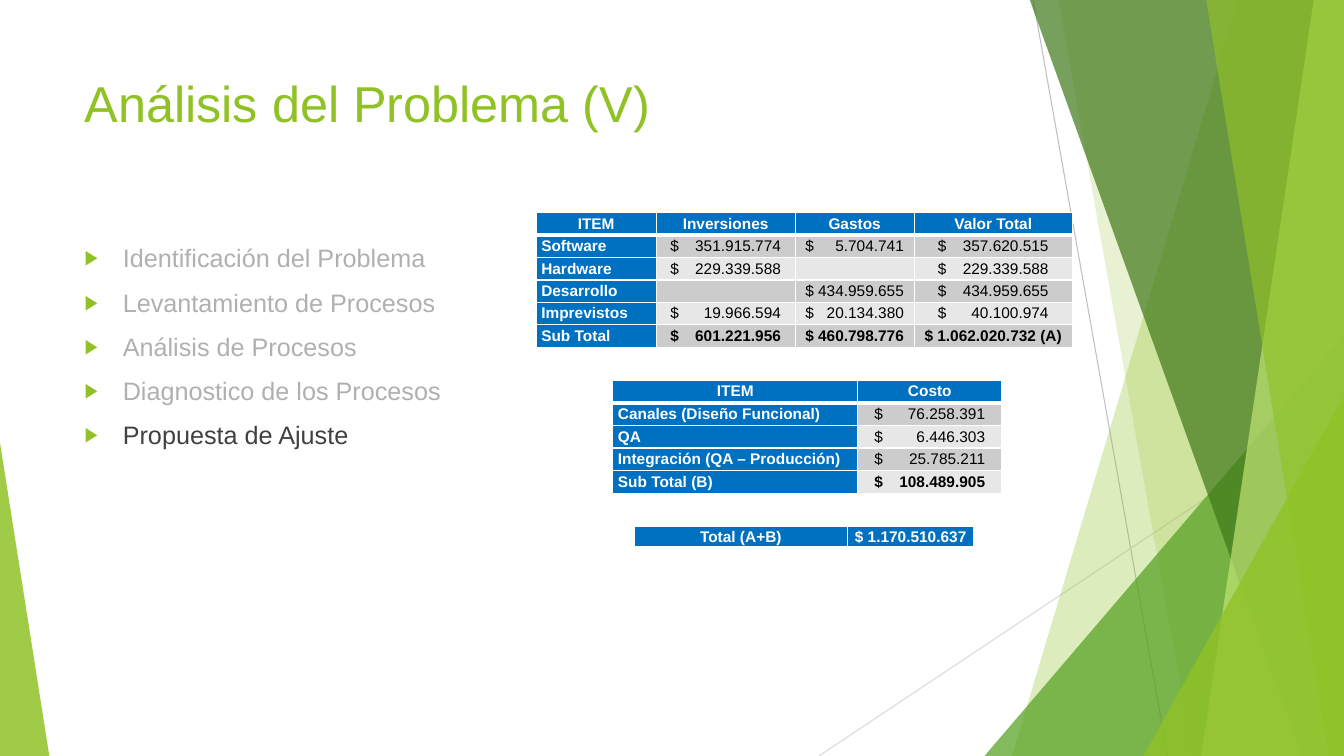
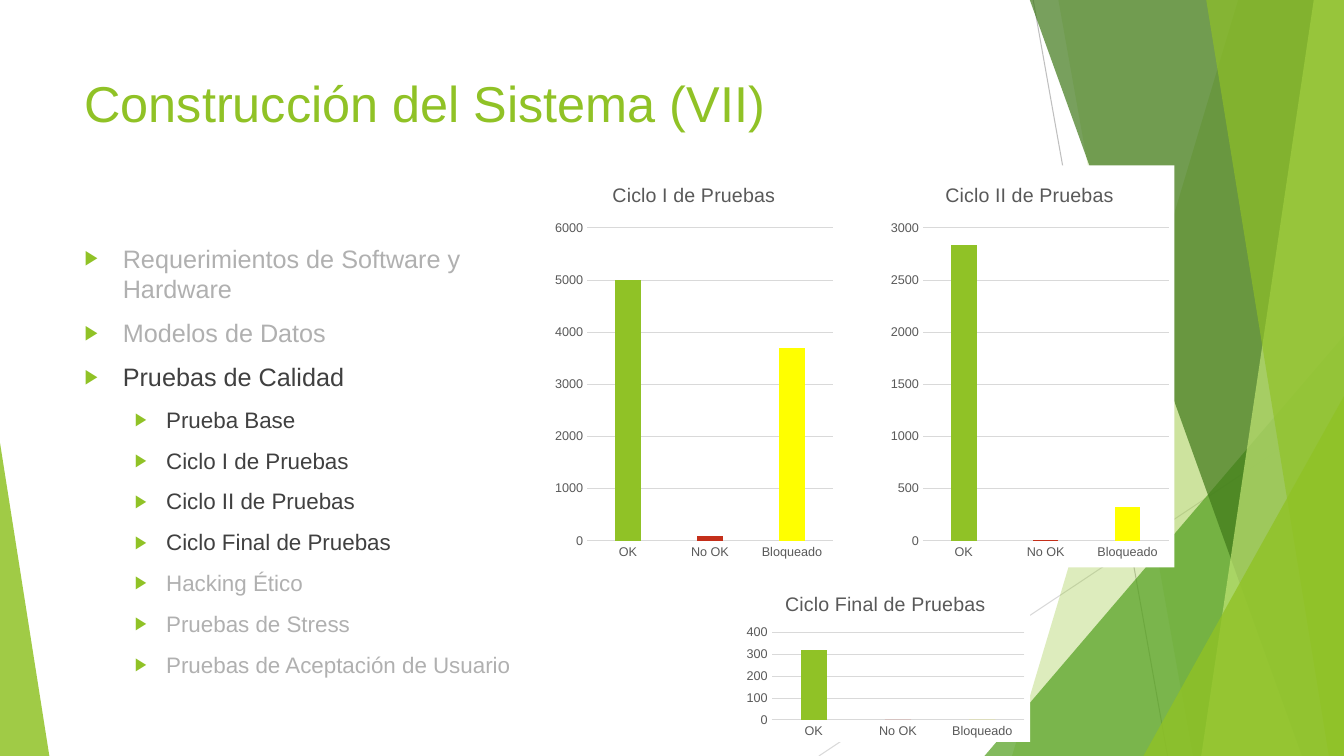
import lxml.etree
import pptx
import pptx.chart.data
import pptx.dml.color
import pptx.enum.chart
import pptx.enum.shapes
import pptx.enum.text
import pptx.oxml.ns
import pptx.util

RGB = pptx.dml.color.RGBColor
GREEN = RGB(0x90, 0xC2, 0x26)
LEAF = RGB(0x54, 0xA0, 0x21)
MOSS = RGB(0x3F, 0x78, 0x19)
LIME = RGB(0xC0, 0xE4, 0x74)
DARK = RGB(0x40, 0x40, 0x40)
FADED = RGB(0xB0, 0xB0, 0xB0)
GRAY = RGB(0x59, 0x59, 0x59)
RULE = RGB(0xD9, 0xD9, 0xD9)
EDGE = RGB(0xBF, 0xBF, 0xBF)
BLUE = RGB(0x00, 0x70, 0xC0)
BANDS = RGB(0xCC, 0xCC, 0xCC), RGB(0xE7, 0xE7, 0xE7)
RED = RGB(0xC4, 0x2F, 0x1A)
YELLOW = RGB(0xFF, 0xFF, 0x00)
WHITE = RGB(0xFF, 0xFF, 0xFF)
BLACK = RGB(0, 0, 0)

FONT = "Arial"
COLS, ROWS = 40, 30
ALIGN = pptx.enum.text.PP_ALIGN
SHAPE = pptx.enum.shapes.MSO_SHAPE


def node(parent, tag, **attrs):
    """Append one XML element."""
    names = {key: str(val) for key, val in attrs.items()}
    return lxml.etree.SubElement(parent, pptx.oxml.ns.qn(tag), names)


def style(font, size, color, bold=False):
    font.name, font.size, font.bold = FONT, pptx.util.Pt(size), bold
    font.color.rgb = color


def put(frame, text, size=18, color=DARK, bold=False, align=None,
        before=0, level=None, tab=None):
    """Add a paragraph; level gives it a bullet, tab a right tab stop."""
    para = frame.paragraphs[0]
    if para.runs:
        para = frame.add_paragraph()
    props = para._p.get_or_add_pPr()
    if level is not None:
        left, hang = ((0.38, 0.38), (0.81, 0.31))[level]
        para.level = level
        props.set("marL", str(pptx.util.Inches(left)))
        props.set("indent", str(-pptx.util.Inches(hang)))
        node(node(props, "a:buClr"), "a:srgbClr", val=GREEN)
        node(props, "a:buSzPct", val=80000)
        node(props, "a:buFont", typeface=FONT)
        node(props, "a:buChar", char="▶")
    if tab:
        node(node(props, "a:tabLst"), "a:tab", pos=tab, algn="r")
    para.alignment = align
    para.space_before = pptx.util.Pt(before)
    if text:
        run = para.add_run()
        run.text = text
        style(run.font, size, color, bold)
    else:
        node(para._p, "a:endParaRPr", sz=size * 100)


class Deck:
    def __init__(self):
        self.show = pptx.Presentation()
        self.show.slide_width = pptx.util.Inches(13.33)
        self.show.slide_height = pptx.util.Inches(7.5)

    # Grid
    def x(self, cols):
        return round(self.show.slide_width * cols / COLS)

    def y(self, rows):
        return round(self.show.slide_height * rows / ROWS)

    def box(self, left, top, width, height):
        return self.x(left), self.y(top), self.x(width), self.y(height)

    # Slide with shared backdrop and title
    def slide(self, title):
        page = self.show.slides.add_slide(self.show.slide_layouts[6])
        self.shapes = page.shapes
        self.line(30.75, 0, 34.75, ROWS, EDGE)
        self.line(COLS, 16.12, 24.37, ROWS, RULE)
        self.ray(36.85, 30.12, GREEN, 30)
        self.ray(31.5, 35.5, GREEN, 20)
        self.wedge(29.3, 13.32, 10.7, 1, LEAF, 72)
        self.ray(30.65, 38.75, MOSS, 70)
        self.ray(39.1, 35.75, LIME, 70)
        self.ray(35.9, 39.55, GREEN, 65)
        self.wedge(34.03, 15.72, 5.97, 1, GREEN, 80)
        self.wedge(0, 17.56, 1.47, 0, GREEN, 85)
        put(self.frame(2.22, 2.68, 28.2, 5.76), title, size=36, color=GREEN)

    def line(self, left, top, right, end, color):
        kind = pptx.enum.shapes.MSO_CONNECTOR.STRAIGHT
        rule = self.shapes.add_connector(
            kind, self.x(left), self.y(top), self.x(right), self.y(end))
        rule.line.color.rgb = color
        rule.line.width = pptx.util.Pt(0.75)
        node(rule.element.spPr, "a:effectLst")

    def tint(self, shape, color, alpha):
        shape.shadow.inherit = False
        shape.fill.solid()
        shape.fill.fore_color.rgb = color
        shape.line.fill.background()
        fill = next(shape.element.iter(pptx.oxml.ns.qn("a:srgbClr")))
        node(fill, "a:alpha", val=alpha * 1000)

    def ray(self, top, base, color, alpha):
        """Band from a slanted left edge to the right side of the slide."""
        form = self.shapes.build_freeform(self.x(top), 0)
        ends = (COLS, 0), (COLS, ROWS), (base, ROWS)
        form.add_line_segments([(self.x(a), self.y(b)) for a, b in ends])
        self.tint(form.convert_to_shape(), color, alpha)

    def wedge(self, left, top, width, peak, color, alpha):
        """Triangle standing on the bottom of the slide."""
        shape = self.shapes.add_shape(
            SHAPE.ISOSCELES_TRIANGLE, *self.box(left, top, width, ROWS - top))
        shape.adjustments[0] = peak
        self.tint(shape, color, alpha)

    def frame(self, *area):
        frame = self.shapes.add_textbox(*self.box(*area)).text_frame
        frame.word_wrap = True
        return frame

    def list(self, height, items):
        frame = self.frame(2.22, 9.44, 13.75, height)
        for count, (text, level, color) in enumerate(items):
            put(frame, text, size=18 - 2 * level, color=color, level=level,
                before=10 if count else 0)

    # Tables
    def table(self, left, top, widths, height, rows, spans=()):
        """Spans are the widths, in inches, of the amounts in each column."""
        area = self.box(left, top, sum(widths), height * len(rows))
        grid = self.shapes.add_table(len(rows), len(widths), *area).table
        grid.horz_banding = False
        for col, width in zip(grid.columns, widths):
            col.width = self.x(width)
        for r, row in enumerate(rows):
            grid.rows[r].height = self.y(height)
            for c, text in enumerate(row):
                head = r == 0 or c == 0
                last = r == len(rows) - 1
                cell = self.cell(grid.cell(r, c), r, head)
                look = dict(size=11, color=WHITE if head else BLACK,
                            bold=head or last)
                if head or not text or text.startswith("$"):
                    look["align"] = ALIGN.CENTER if r == 0 or c else ALIGN.LEFT
                else:
                    span = pptx.util.Inches(spans[c - 1])
                    cell.margin_left = (self.x(widths[c]) - span) // 2
                    cell.margin_right = 0
                    text, look["tab"] = "$\t" + text, span
                put(cell.text_frame, text, **look)

    def cell(self, cell, row, head):
        props = cell._tc.get_or_add_tcPr()
        for side in "LRTB":
            thick = 3 if row == 0 and side == "B" else 1
            edge = node(props, "a:ln" + side, w=pptx.util.Pt(thick))
            node(node(edge, "a:solidFill"), "a:srgbClr", val=WHITE)
        cell.fill.solid()
        cell.fill.fore_color.rgb = BLUE if head else BANDS[(row - 1) % 2]
        cell.margin_left = cell.margin_right = pptx.util.Inches(0.05)
        cell.margin_top = cell.margin_bottom = 0
        cell.vertical_anchor = pptx.enum.text.MSO_ANCHOR.MIDDLE
        return cell

    # Charts
    def chart(self, left, top, height, title, vals, step, peak):
        data = pptx.chart.data.CategoryChartData()
        data.categories = "OK", "No OK", "Bloqueado"
        data.add_series("Series 1", vals)
        kind = pptx.enum.chart.XL_CHART_TYPE.COLUMN_CLUSTERED
        chart = self.shapes.add_chart(
            kind, *self.box(left, top, 8.61, height), data).chart
        style(chart.font, 10, BLACK)
        chart.has_legend = False
        chart.has_title = True
        put(chart.chart_title.text_frame, title, size=14, color=GRAY)
        chart.chart_title.include_in_layout = False
        # White ground
        ground = node(chart._chartSpace, "c:spPr")
        node(node(ground, "a:solidFill"), "a:srgbClr", val=WHITE)
        node(node(ground, "a:ln"), "a:noFill")
        chart._chartSpace.find(pptx.oxml.ns.qn("c:chart")).addnext(ground)
        # Axes
        for axis in (chart.category_axis, chart.value_axis):
            axis.major_tick_mark = pptx.enum.chart.XL_TICK_MARK.NONE
            style(axis.tick_labels.font, 9, GRAY)
        scale = chart.value_axis
        scale.minimum_scale, scale.maximum_scale = 0, peak
        scale.major_unit = step
        scale.format.line.fill.background()
        for rule in (scale.major_gridlines, chart.category_axis):
            rule.format.line.color.rgb = RULE
            rule.format.line.width = pptx.util.Pt(0.75)
        # Bars
        plot = chart.plots[0]
        plot.gap_width, plot.overlap = 219, -27
        plot.vary_by_categories = False
        bars = plot.series[0]
        bars.format.fill.solid()
        bars.format.fill.fore_color.rgb = GREEN
        for spot, color in ((1, RED), (2, YELLOW)):
            fill = bars.points[spot].format.fill
            fill.solid()
            fill.fore_color.rgb = color


def costs(deck):
    deck.slide("Análisis del Problema (V)")
    deck.list(16.96, [
        ("Identificación del Problema", 0, FADED),
        ("Levantamiento de Procesos", 0, FADED),
        ("Análisis de Procesos", 0, FADED),
        ("Diagnostico de los Procesos", 0, FADED),
        ("Propuesta de Ajuste", 0, DARK),
    ])
    deck.table(15.96, 8.44, (3.57, 4.14, 3.54, 4.71), 0.89, [
        ("ITEM", "Inversiones", "Gastos", "Valor Total"),
        ("Software", "351.915.774", "5.704.741", "357.620.515"),
        ("Hardware", "229.339.588", "", "229.339.588"),
        ("Desarrollo", "", "434.959.655", "434.959.655"),
        ("Imprevistos", "19.966.594", "20.134.380", "40.100.974"),
        ("Sub Total", "601.221.956", "460.798.776", "$ 1.062.020.732 (A)"),
    ], spans=(1.1, 0.98, 1.1))
    deck.table(18.24, 15.08, (7.29, 4.29), 0.9, [
        ("ITEM", "Costo"),
        ("Canales (Diseño Funcional)", "76.258.391"),
        ("QA", "6.446.303"),
        ("Integración (QA – Producción)", "25.785.211"),
        ("Sub Total (B)", "108.489.905"),
    ], spans=(1.1,))
    deck.table(18.87, 20.88, (6.36, 3.75), 0.88,
               [("Total (A+B)", "$ 1.170.510.637")])


def tests(deck):
    deck.slide("Construcción del Sistema (VII)")
    deck.list(19.96, [
        ("Requerimientos de Software y Hardware", 0, FADED),
        ("Modelos de Datos", 0, FADED),
        ("Pruebas de Calidad", 0, DARK),
        ("Prueba Base", 1, DARK),
        ("Ciclo I de Pruebas", 1, DARK),
        ("Ciclo II de Pruebas", 1, DARK),
        ("Ciclo Final de Pruebas", 1, DARK),
        ("Hacking Ético", 1, FADED),
        ("Pruebas de Stress", 1, FADED),
        ("Pruebas de Aceptación de Usuario", 1, FADED),
    ])
    deck.chart(16.35, 6.56, 15.96, "Ciclo I de Pruebas",
               (5000, 100, 3700), 1000, 6000)
    deck.chart(26.34, 6.56, 15.96, "Ciclo II de Pruebas",
               (2840, 10, 320), 500, 3000)
    deck.chart(22.05, 23, 6.44, "Ciclo Final de Pruebas",
               (320, 0, 0), 100, 400)


def main():
    deck = Deck()
    costs(deck)
    tests(deck)
    deck.show.save("out.pptx")


if __name__ == "__main__":
    main()
